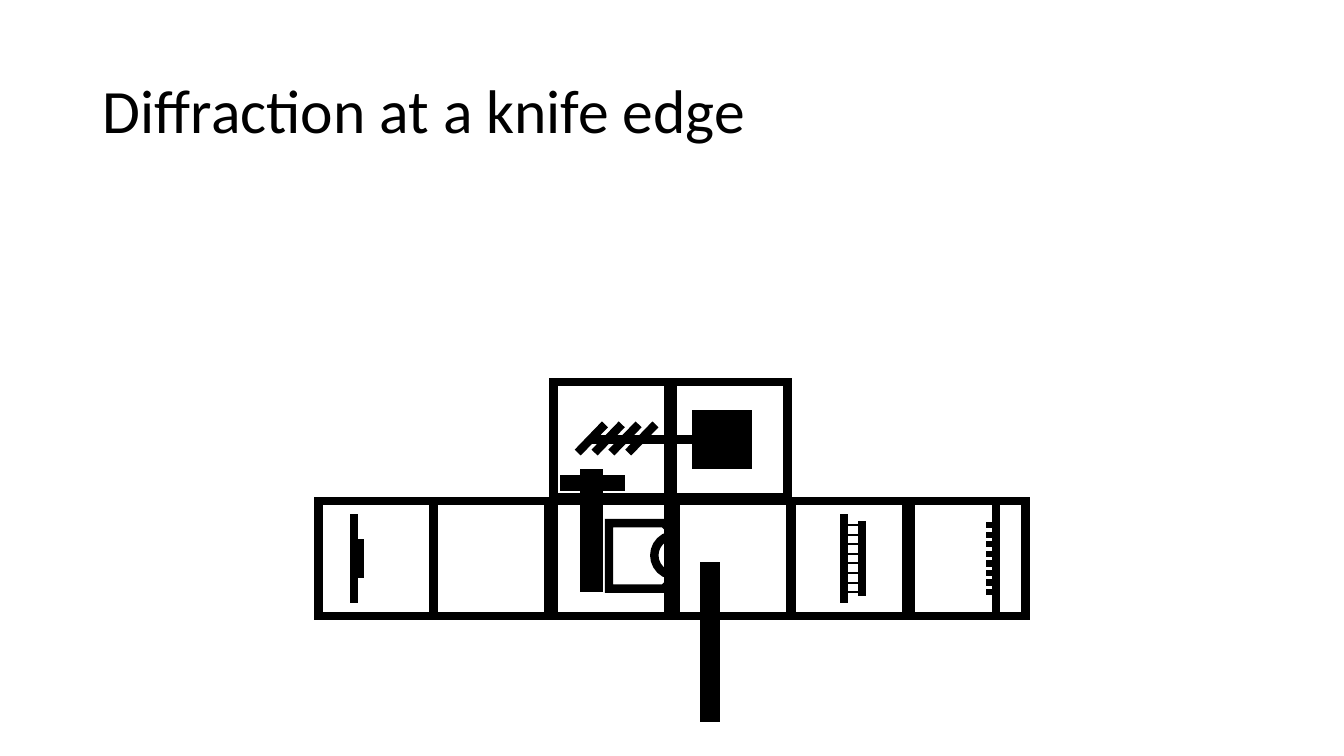
from lxml import etree
from pptx import Presentation
from pptx.dml.color import RGBColor
from pptx.enum.shapes import MSO_CONNECTOR, MSO_SHAPE
from pptx.enum.text import MSO_ANCHOR, PP_ALIGN
from pptx.oxml.ns import qn
from pptx.util import Inches, Pt

RECT = MSO_SHAPE.RECTANGLE
SNIPPED = MSO_SHAPE.SNIP_2_SAME_RECTANGLE
CHORD = MSO_SHAPE.CHORD
STRAIGHT = MSO_CONNECTOR.STRAIGHT
MIDDLE = MSO_ANCHOR.MIDDLE
LEFT = PP_ALIGN.LEFT

COLORS = {"ink": "000000"}
INK = RGBColor.from_string(COLORS["ink"])
CUBE = 1.14
TOP_ROW, BOTTOM_ROW = 3.79, 4.97
THICK = 6
SCALE_TOP, SCALE_STEP, SCALE_MARKS = 5.21, 0.095, 8


def add_title(slide, text):
    title = slide.shapes.title
    title.left, title.top = Inches(0.92), Inches(0.4)
    title.width, title.height = Inches(11.5), Inches(1.45)
    tf = title.text_frame
    tf.text = text
    tf.vertical_anchor = MIDDLE
    p = tf.paragraphs[0]
    p.alignment = LEFT
    p.line_spacing = 0.9
    font = p.runs[0].font
    font.name, font.size = "Calibri", Pt(44)
    font.color.rgb = INK


def format_line(sp, weight):
    """Set an ink line with sharp corners."""
    sp.line.color.rgb = INK
    sp.line.width = Pt(weight)
    ln = sp._element.find(qn("p:spPr")).find(qn("a:ln"))
    etree.SubElement(ln, qn("a:miter"), lim="800000")


def add_outline(shapes, kind, left, top, width, height, weight=THICK):
    sp = shapes.add_shape(kind, Inches(left), Inches(top), Inches(width), Inches(height))
    sp.shadow.inherit = False
    sp.fill.background()
    format_line(sp, weight)
    return sp


def add_block(shapes, left, top, width, height):
    sp = add_outline(shapes, RECT, left, top, width, height, weight=1)
    sp.fill.solid()
    sp.fill.fore_color.rgb = INK


def add_cube(shapes, left, top):
    add_outline(shapes, RECT, left, top, CUBE, CUBE)


def add_line(shapes, x1, y1, x2, y2, weight=THICK):
    line = shapes.add_connector(STRAIGHT, Inches(x1), Inches(y1), Inches(x2), Inches(y2))
    format_line(line, weight)
    sp_pr = line._element.find(qn("p:spPr"))
    etree.SubElement(sp_pr, qn("a:effectLst"))


def add_scale(shapes, x1, x2, weight):
    """Draw a column of evenly spaced horizontal marks."""
    for i in range(SCALE_MARKS):
        y = SCALE_TOP + i * SCALE_STEP
        add_line(shapes, x1, y, x2, y, weight)


def add_knife_holder(shapes):
    add_block(shapes, 5.76, 4.66, 0.21, 1.21)
    holder = add_outline(shapes, SNIPPED, 6.04, 5.19, 0.65, 0.65)
    holder.rotation = 90
    lens = add_outline(shapes, CHORD, 6.49, 5.31, 0.4, 0.4)
    lens.adjustments[0], lens.adjustments[1] = 52.86, 162


def add_drive(shapes):
    """Draw the upper two cubes with motor, shaft and thread."""
    for left in (5.49, 6.67):
        add_cube(shapes, left, TOP_ROW)
    add_block(shapes, 6.87, 4.07, 0.58, 0.58)
    add_block(shapes, 5.56, 4.72, 0.63, 0.14)
    for i in range(4):
        x = 5.73 + i * 0.167
        add_line(shapes, x + 0.27, 4.21, x, 4.49)
    add_line(shapes, 5.85, 4.36, 7.04, 4.36)


def add_source(shapes):
    add_cube(shapes, 3.16, BOTTOM_ROW)
    add_line(shapes, 3.51, 5.98, 3.51, 5.1)
    add_line(shapes, 3.57, 5.73, 3.57, 5.35)


def add_sensor(shapes):
    add_cube(shapes, 7.85, BOTTOM_ROW)
    add_line(shapes, 8.37, 5.98, 8.37, 5.1)
    add_scale(shapes, 8.39, 8.55, 1.5)
    add_line(shapes, 8.55, 5.91, 8.55, 5.17)


def add_screen(shapes):
    add_cube(shapes, 9.03, BOTTOM_ROW)
    add_line(shapes, 9.88, BOTTOM_ROW, 9.88, BOTTOM_ROW + CUBE)
    add_scale(shapes, 9.87, 9.78, 4.5)


def main():
    prs = Presentation()
    prs.slide_width, prs.slide_height = Inches(13.33), Inches(7.5)
    slide = prs.slides.add_slide(prs.slide_layouts.get_by_name("Title Only"))
    add_title(slide, "Diffraction at a knife edge")

    add_knife_holder(slide.shapes)
    for left in (4.3, 5.49, 6.7):
        add_cube(slide.shapes, left, BOTTOM_ROW)
    for add_unit in (add_drive, add_source, add_sensor, add_screen):
        add_unit(slide.shapes.add_group_shape().shapes)
    add_block(slide.shapes, 6.95, 5.58, 0.18, 1.58)

    prs.save("out.pptx")


if __name__ == "__main__":
    main()
